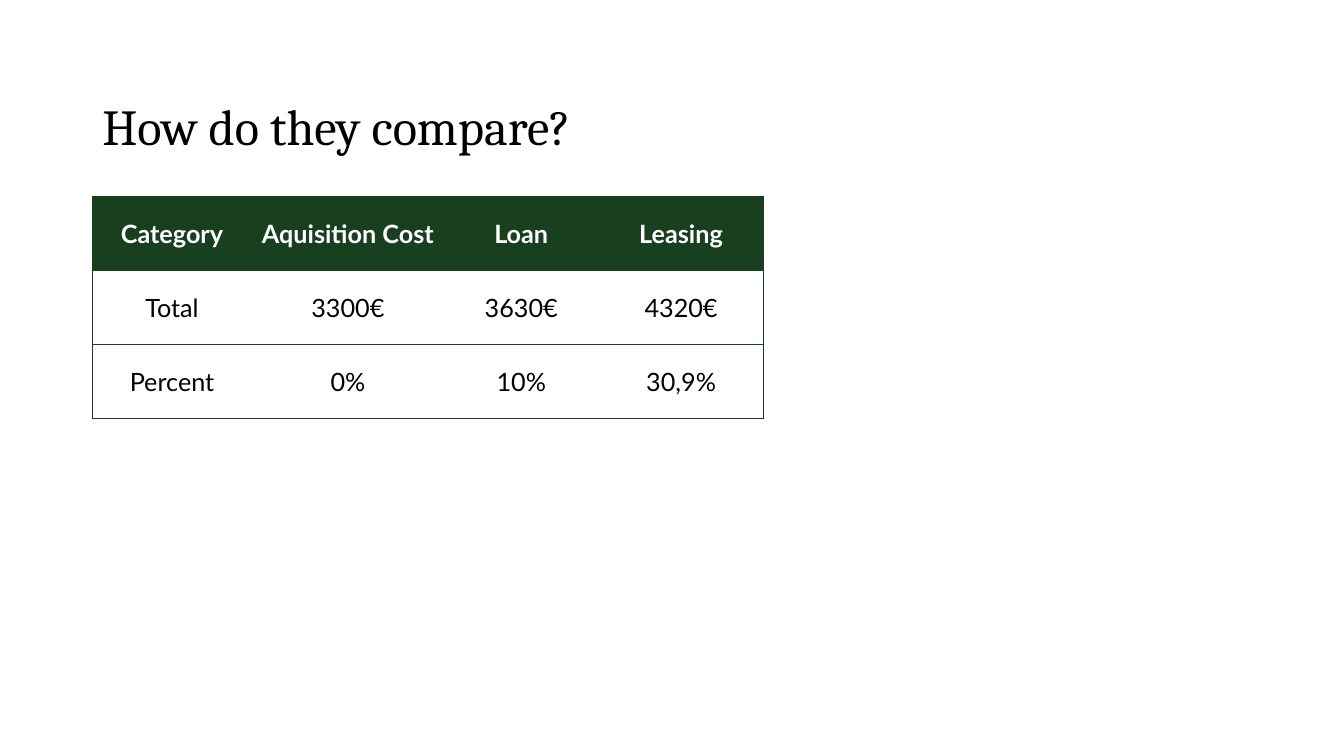
"""Build the slide that compares acquisition cost, loan and leasing."""
from pptx import Presentation
from pptx.dml.color import RGBColor
from pptx.enum.text import MSO_ANCHOR as ANCHOR, PP_ALIGN as ALIGN
from pptx.oxml.xmlchemy import OxmlElement
from pptx.util import Pt

TITLE = "How do they compare?"
ROWS = [
    ("Category", "Aquisition Cost", "Loan", "Leasing"),
    ("Total", "3300€", "3630€", "4320€"),
    ("Percent", "0%", "10%", "30,9%"),
]
COL_WIDTHS = (113.8, 137.5, 110.2, 118.1)
ROW_HEIGHT = 52.9
LEFT, TABLE_TOP = 66, 140.2

GREEN = RGBColor(0x18, 0x3F, 0x1E)
WHITE = RGBColor(0xFF, 0xFF, 0xFF)
BLACK = RGBColor(0x00, 0x00, 0x00)


def add_run(p, text, font, size, color, bold=False):
    """Add one formatted run to a paragraph."""
    r = p.add_run()
    r.text = text
    r.font.name, r.font.size, r.font.bold = font, Pt(size), bold
    r.font.color.rgb = color


def set_border(cell, side, visible):
    """Give one side of a cell a green line or no line."""
    ln = OxmlElement(f"a:ln{side}")
    ln.set("w", str(Pt(1)))
    if visible:
        fill = OxmlElement("a:solidFill")
        color = OxmlElement("a:srgbClr")
        color.set("val", str(GREEN))
        fill.append(color)
    else:
        fill = OxmlElement("a:noFill")
    ln.append(fill)
    cell._tc.get_or_add_tcPr().append(ln)


def add_title(slide):
    """Add the bottom-anchored title."""
    box = slide.shapes.add_textbox(Pt(LEFT), Pt(10.8), Pt(828), Pt(104.4))
    tf = box.text_frame
    tf.word_wrap = True
    tf.vertical_anchor = ANCHOR.BOTTOM
    p = tf.paragraphs[0]
    p.line_spacing = 0.9
    add_run(p, TITLE, "Cambria", 36, BLACK)


def add_comparison(slide):
    """Add the comparison table with outer and horizontal lines."""
    n_rows, n_cols = len(ROWS), len(COL_WIDTHS)
    table = slide.shapes.add_table(
        n_rows, n_cols, Pt(LEFT), Pt(TABLE_TOP),
        Pt(sum(COL_WIDTHS)), Pt(n_rows * ROW_HEIGHT)).table
    table.horz_banding = False
    for column, width in zip(table.columns, COL_WIDTHS):
        column.width = Pt(width)
    for i, values in enumerate(ROWS):
        table.rows[i].height = Pt(ROW_HEIGHT)
        header = i == 0
        for j, value in enumerate(values):
            cell = table.cell(i, j)
            cell.vertical_anchor = ANCHOR.MIDDLE
            sides = {"L": j == 0, "R": j == n_cols - 1, "T": True, "B": True}
            for side, visible in sides.items():
                set_border(cell, side, visible)
            if header:
                cell.fill.solid()
                cell.fill.fore_color.rgb = GREEN
            else:
                cell.fill.background()
            p = cell.text_frame.paragraphs[0]
            p.alignment = ALIGN.CENTER
            add_run(p, value, "Lato", 18, WHITE if header else BLACK, header)


def main():
    """Create and save the presentation."""
    prs = Presentation()
    prs.slide_width, prs.slide_height = Pt(960), Pt(540)
    slide = prs.slides.add_slide(prs.slide_layouts[6])
    add_comparison(slide)
    add_title(slide)
    prs.save("out.pptx")


if __name__ == "__main__":
    main()
